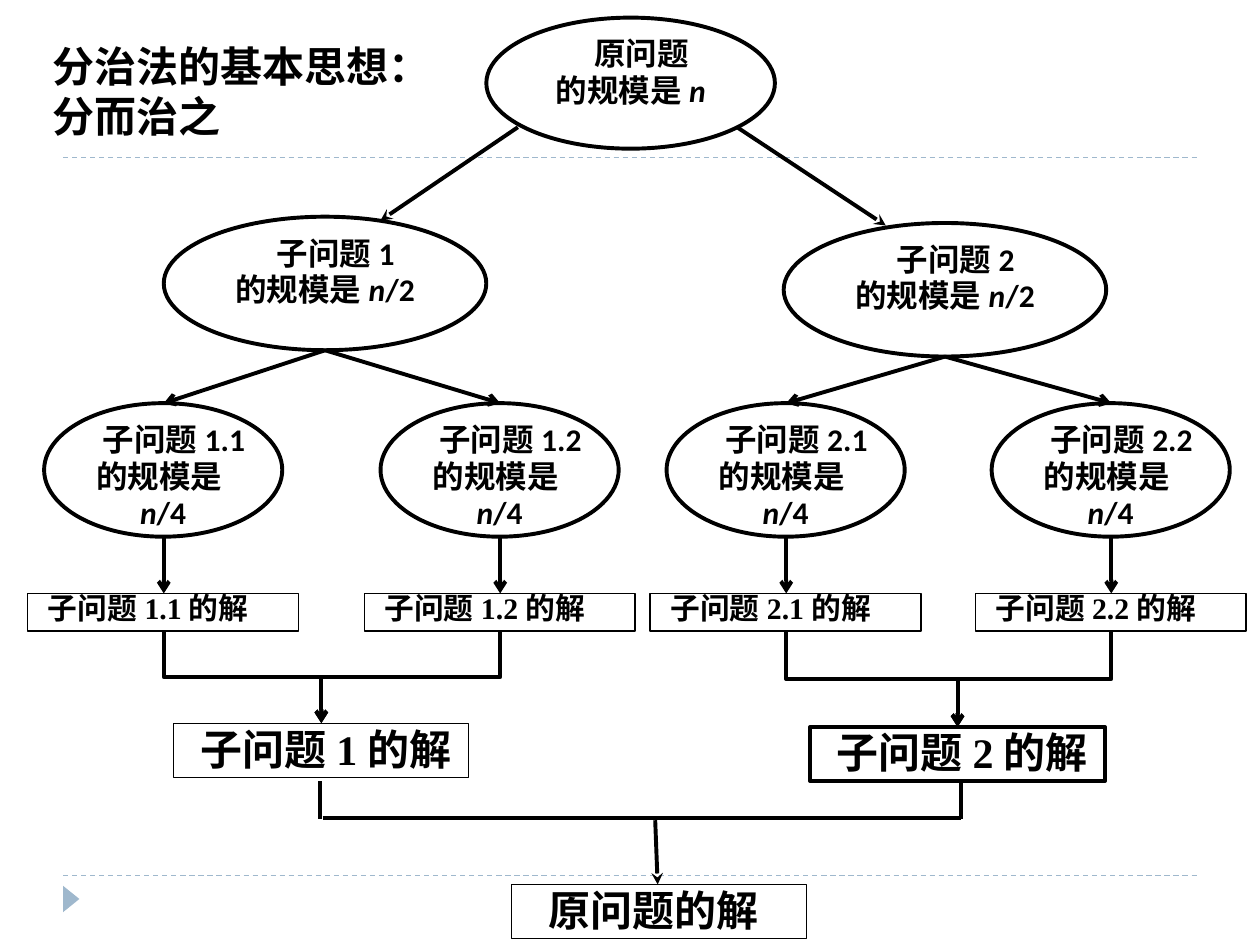
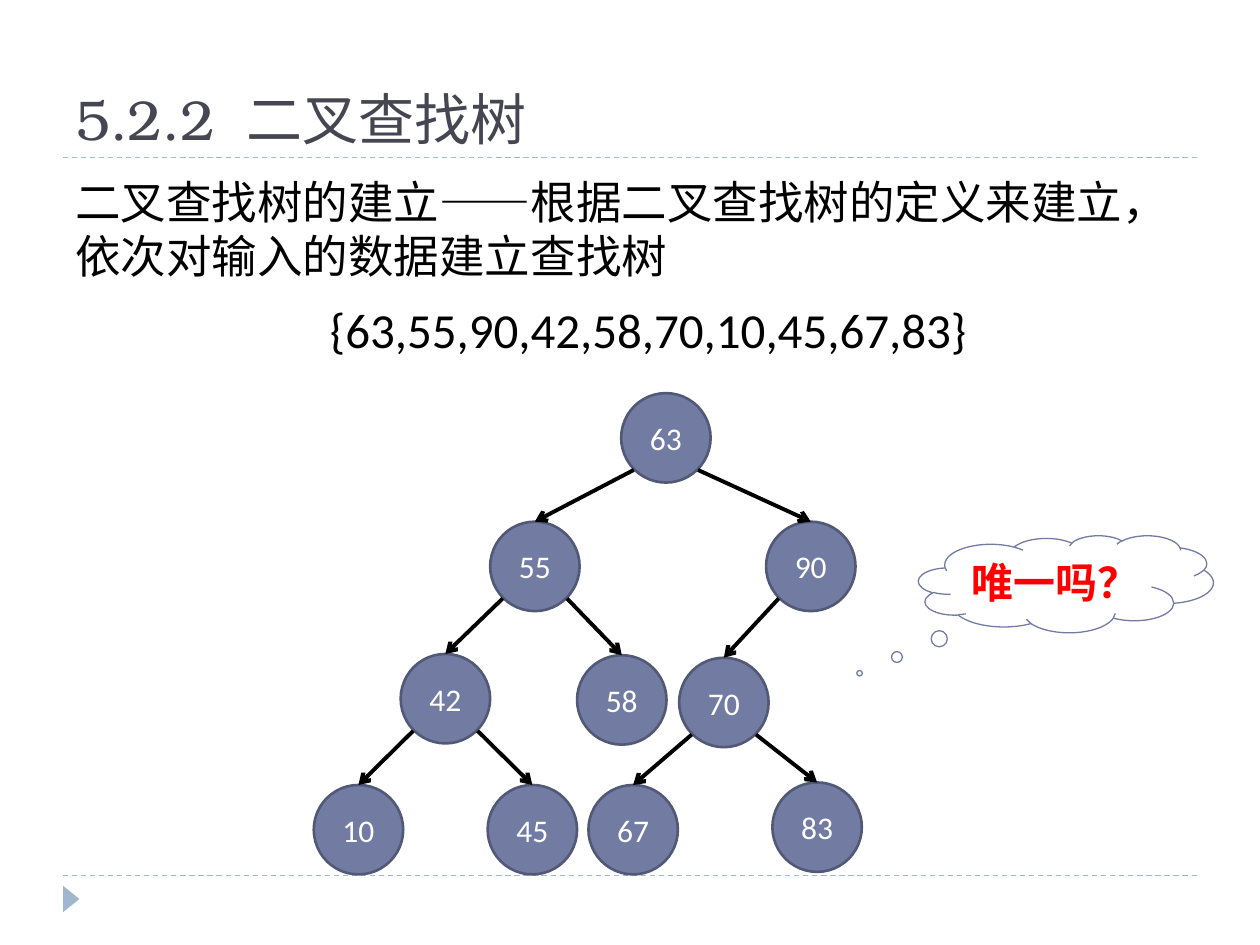
from dataclasses import dataclass
from lxml.etree import SubElement
from pptx import Presentation
from pptx.dml.color import RGBColor
from pptx.enum.dml import MSO_LINE
from pptx.enum.shapes import MSO_CONNECTOR, MSO_SHAPE
from pptx.enum.text import MSO_ANCHOR, PP_ALIGN
from pptx.oxml.ns import qn
from pptx.util import Inches, Pt


@dataclass(frozen=True)
class Theme:
    ink: str = "000000"
    head: str = "464653"
    rule: str = "9FB8CD"
    node: str = "727CA3"
    edge: str = "525977"
    pale: str = "FFFFFF"
    alert: str = "FF0000"
    sans: str = "Calibri"
    serif: str = "Times New Roman"
    title: str = "TeX Gyre Bonum"
    huge: int = 32
    large: int = 28
    body: int = 26
    mid: int = 24
    small: int = 18
    tiny: int = 17
    thick: float = 2.25
    thin: float = 0.75


T = Theme()
PLAIN = (0.1, 0.05, 0.1, 0.05)
TIGHT = (0.04, 0, 0.04, 0.01)
NODE = 0.71


def style(para, size, color=T.ink, font=T.sans, bold=False, align=PP_ALIGN.LEFT):
    para.alignment = align
    para.font.size = Pt(size)
    para.font.name = font
    para.font.bold = bold
    para.font.color.rgb = RGBColor.from_string(color)


def indent(para, inches):
    props = para._p.get_or_add_pPr()
    props.set("marL", str(Inches(inches)))
    props.set("indent", "0")


def setup(frame, insets=PLAIN, wrap=True, anchor=MSO_ANCHOR.TOP):
    frame.word_wrap = wrap
    frame.vertical_anchor = anchor
    frame.margin_left, frame.margin_top, frame.margin_right, frame.margin_bottom = map(Inches, insets)


def write(slide, box, lines, size, wrap=True, anchor=MSO_ANCHOR.TOP, **look):
    frame = slide.shapes.add_textbox(*map(Inches, box)).text_frame
    setup(frame, wrap=wrap, anchor=anchor)
    for i, line in enumerate(lines):
        para = frame.add_paragraph() if i else frame.paragraphs[0]
        para.text = line
        style(para, size, **look)


def shape(slide, kind, box, fill=None, line=None, width=T.thick):
    item = slide.shapes.add_shape(kind, *map(Inches, box))
    item.shadow.inherit = False
    if fill:
        item.fill.solid()
        item.fill.fore_color.rgb = RGBColor.from_string(fill)
    else:
        item.fill.background()
    if line:
        item.line.color.rgb = RGBColor.from_string(line)
        item.line.width = Pt(width)
    else:
        item.line.fill.background()
    return item


def link(slide, start, end, tip=None, color=T.ink, width=T.thick, kind=MSO_CONNECTOR.STRAIGHT):
    item = slide.shapes.add_connector(kind, *map(Inches, (*start, *end)))
    item.line.color.rgb = RGBColor.from_string(color)
    item.line.width = Pt(width)
    if tip:
        SubElement(item.line._get_or_add_ln(), qn("a:tailEnd"), type=tip)
    SubElement(item._element.spPr, qn("a:effectLst"))
    return item


def elbow(slide, start, end):
    """Draw an arrow that leaves downwards, crosses at half height and goes on down."""
    (x1, y1), (x2, y2) = start, end
    mid, level = (x1 + x2) / 2, (y1 + y2) / 2
    run, rise = (y2 - y1) / 2, abs(x2 - x1) / 2
    turn = 270 if x2 > x1 else 90
    if turn == 270:
        run = -run
    item = link(slide, (mid - run, level - rise), (mid + run, level + rise),
                "arrow", kind=MSO_CONNECTOR.ELBOW)
    item._element.spPr.find(qn("a:xfrm")).set("rot", str(turn * 60000))


def base(deck):
    slide = deck.slides.add_slide(deck.slide_layouts[6])
    for y in (6.95, 1.25):
        rule = link(slide, (0.5, y), (9.5, y), color=T.rule, width=T.thin)
        rule.line.dash_style = MSO_LINE.DASH
    mark = shape(slide, MSO_SHAPE.ISOSCELES_TRIANGLE, (0.46, 7.07, 0.21, 0.13), fill=T.rule)
    mark.rotation = 90
    return slide


def oval(slide, box, name, part=""):
    frame = shape(slide, MSO_SHAPE.OVAL, box, line=T.ink).text_frame
    setup(frame, (0, 0, 0, 0))
    top, low = frame.paragraphs[0], frame.add_paragraph()
    top.text = name
    indent(top, 0.17)
    for text in filter(None, ("的规模是", "n", part)):
        run = low.add_run()
        run.text = text
        run.font.italic = text == "n"
    for para in (top, low):
        para.line_spacing = 0.96
        style(para, T.small, bold=True, align=PP_ALIGN.CENTER)


def answer(slide, box, name, size, lead, width=T.thin, space=1.0):
    frame = shape(slide, MSO_SHAPE.RECTANGLE, box, line=T.ink, width=width).text_frame
    setup(frame, TIGHT)
    para = frame.paragraphs[0]
    para.text = name + "的解"
    indent(para, lead)
    para.line_spacing = space
    style(para, size, font=T.serif, bold=True, align=PP_ALIGN.JUSTIFY)


def divide(deck):
    slide = base(deck)
    write(slide, (0.32, 0.27, 3.2, 0.9), ("分治法的基本思想：", "分而治之"), T.mid, wrap=False, bold=True)
    oval(slide, (3.86, 0.14, 2.29, 1.04), "原问题")
    link(slide, (4.11, 1.01), (3.02, 1.75), "stealth")
    link(slide, (5.85, 1.01), (7.03, 1.79), "stealth")
    halves = (
        ("子问题1", 2.58, 1.72, 2.55, 5.74, T.thin, (1.3, 3.97)),
        ("子问题2", 7.5, 1.77, 7.6, 5.77, T.thick, (6.24, 8.82)),
    )
    for name, mid, top, out, low, width, kids in halves:
        oval(slide, (mid - 1.28, top, 2.56, 1.06), name, "/2")
        answer(slide, (out - 1.17, low, 2.34, 0.43), name, T.mid, 0.17, width)
        for i, x in enumerate(kids, 1):
            kid = f"{name}.{i}"
            oval(slide, (x - 0.95, 3.2, 1.89, 1.06), kid, "/4")
            answer(slide, (x - 1.08, 4.71, 2.15, 0.3), kid, T.tiny, 0.12, space=0.9)
            link(slide, (mid, top + 1.06), (x, 3.2), "arrow")
            link(slide, (x, 4.26), (x, 4.71), "arrow")
            elbow(slide, (x, 5.01), (out, low))
    for x in (2.54, 7.63):
        link(slide, (x, 6.2), (x, 6.5))
    link(slide, (2.56, 6.49), (7.63, 6.49))
    link(slide, (5.2, 6.51), (5.22, 7.02), "stealth")
    answer(slide, (4.06, 7.02, 2.34, 0.43), "原问题", T.mid, 0.25)


def tree(slide):
    spots = {
        63: (4.93, 3.12), 55: (3.89, 4.14), 90: (6.08, 4.14), 42: (3.18, 5.19), 58: (4.58, 5.2),
        70: (5.39, 5.22), 10: (2.49, 6.23), 45: (3.87, 6.23), 67: (4.67, 6.23), 83: (6.13, 6.21),
    }
    kids = {63: (55, 90), 55: (42, 58), 90: (70,), 42: (10, 45), 70: (67, 83)}
    for key, spot in spots.items():
        item = shape(slide, MSO_SHAPE.OVAL, (*spot, NODE, NODE), T.node, T.edge, 1.5)
        setup(item.text_frame, anchor=MSO_ANCHOR.MIDDLE)
        para = item.text_frame.paragraphs[0]
        para.text = str(key)
        style(para, T.small, T.pale, align=PP_ALIGN.CENTER)
    for key, group in kids.items():
        x, y = spots[key]
        for kid in group:
            left, top = spots[kid]
            side = 0.1 if kid < key else NODE - 0.1
            link(slide, (x + side, y + NODE - 0.1), (left + NODE / 2, top), "arrow")


def search(deck):
    slide = base(deck)
    write(slide, (0.5, 0.17, 9, 1.08), ["5.2.2 二叉查找树"], T.huge,
          anchor=MSO_ANCHOR.BOTTOM, color=T.head, font=T.title)
    write(slide, (0.5, 1.33, 9, 5.4),
          ["二叉查找树的建立——根据二叉查找树的定义来建立，依次对输入的数据建立查找树"], T.body)
    write(slide, (2.52, 2.33, 5.25, 0.57), ["{63,55,90,42,58,70,10,45,67,83}"], T.large, wrap=False)
    tree(slide)
    cloud = shape(slide, MSO_SHAPE.CLOUD_CALLOUT, (7.29, 4.25, 2.34, 0.77), line=T.node, width=T.thin)
    cloud.adjustments[0], cloud.adjustments[1] = -0.7, 0.92
    setup(cloud.text_frame, wrap=False)
    para = cloud.text_frame.paragraphs[0]
    para.text = "唯一吗？"
    style(para, T.mid, T.alert, bold=True)


def main():
    deck = Presentation()
    deck.slide_width, deck.slide_height = Inches(10), Inches(7.5)
    divide(deck)
    search(deck)
    deck.save("out.pptx")


if __name__ == "__main__":
    main()
